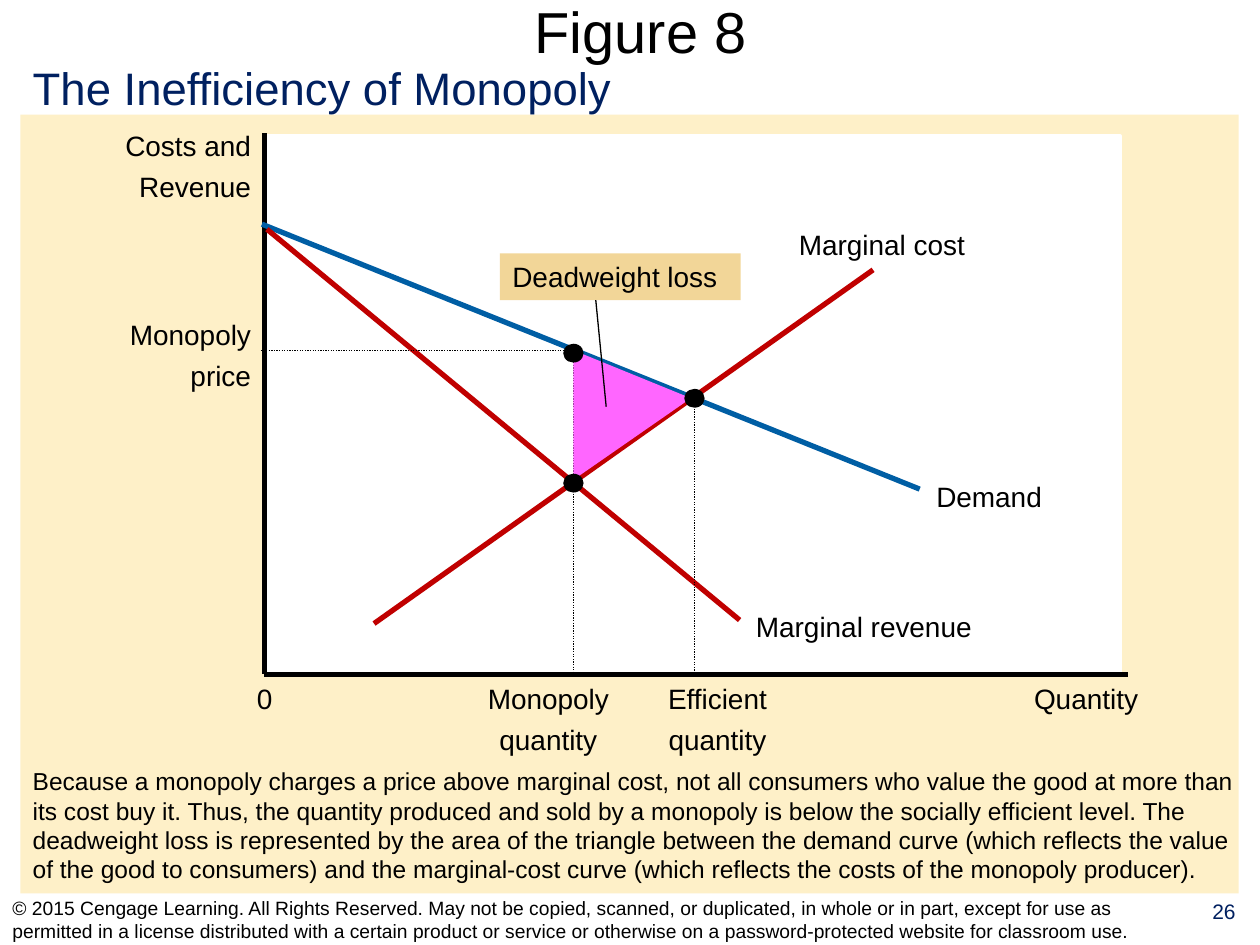
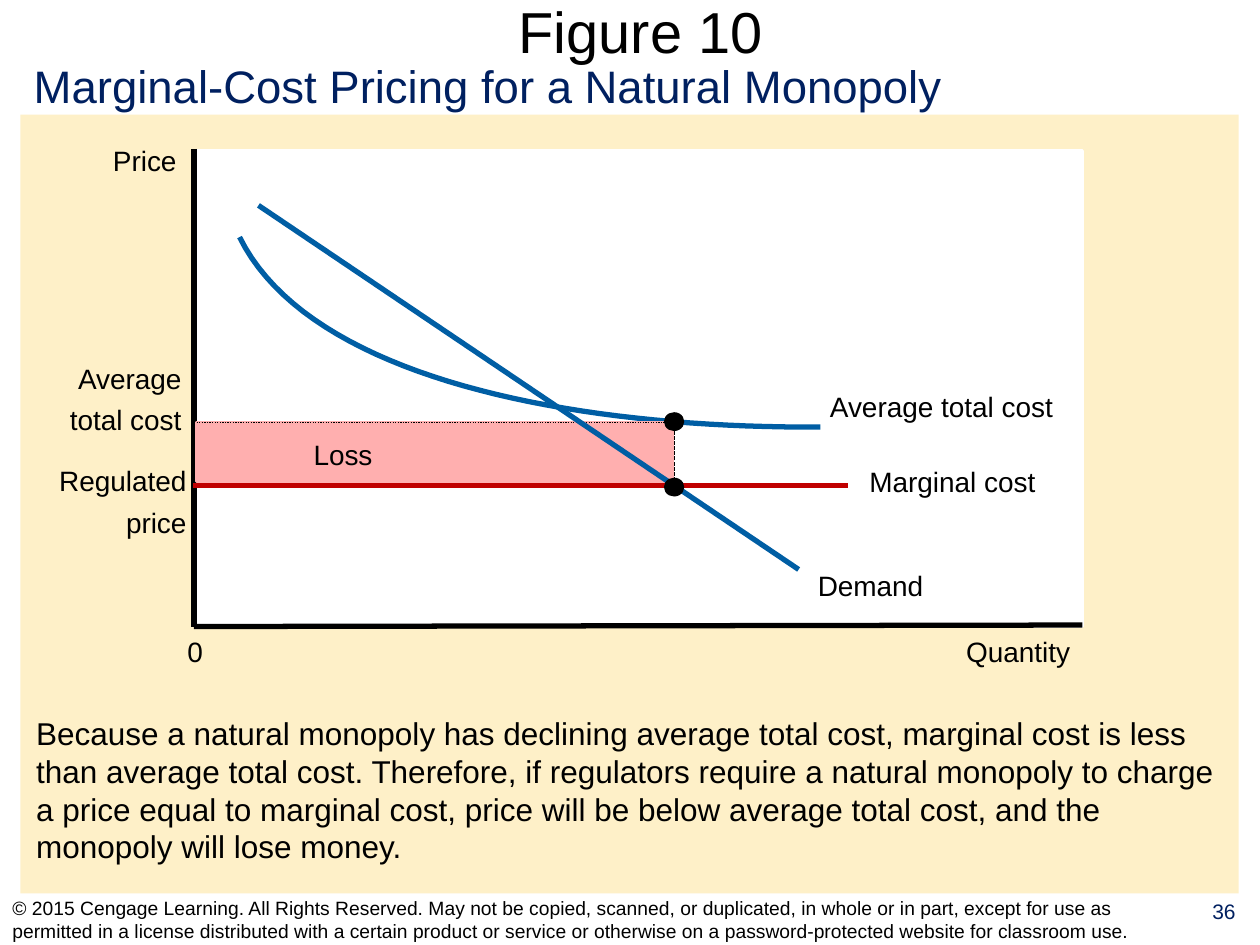
"""Build two economics figures on monopoly pricing as native slides."""
from lxml import etree
from pptx import Presentation, util as u
from pptx.dml.color import RGBColor
from pptx.enum import dml, shapes, text
from pptx.oxml import ns

COLORS = {
    "ink": "000000", "navy": "002060", "cream": "FEF0C8", "white": "FFFFFF",
    "blue": "005EA4", "red": "C00000", "magenta": "FF66FF", "pink": "FFAFAF",
    "tan": "F2D698",
}
FONT = "Arial"
LEFT, CENTER, RIGHT = text.PP_ALIGN.LEFT, text.PP_ALIGN.CENTER, text.PP_ALIGN.RIGHT
DOTTED, DASHED = dml.MSO_LINE.ROUND_DOT, dml.MSO_LINE.SQUARE_DOT
COPYRIGHT = (
    "© 2015 Cengage Learning. All Rights Reserved. May not be copied, scanned, or "
    "duplicated, in whole or in part, except for use as permitted in a license "
    "distributed with a certain product or service or otherwise on a "
    "password-protected website for classroom use."
)


def rgb(name):
    return RGBColor.from_string(COLORS[name])


def write_text(shape, content, size=16, color="ink", align=CENTER,
               anchor=text.MSO_ANCHOR.TOP, gap=4.6):
    frame = shape.text_frame
    frame.word_wrap = True
    frame.vertical_anchor = anchor
    for index, line in enumerate(content.split("\n")):
        paragraph = frame.add_paragraph() if index else frame.paragraphs[0]
        paragraph.alignment = align
        if index:
            paragraph.space_before = u.Pt(gap)
        run = paragraph.add_run()
        run.text = line
        run.font.name = FONT
        run.font.size = u.Pt(size)
        run.font.color.rgb = rgb(color)


class FigureDeck:
    def __init__(self):
        self.presentation = Presentation()
        self.presentation.slide_width = u.Cm(25.4)
        self.presentation.slide_height = u.Cm(19.05)
        self.slide = None

    def new_slide(self, title, heading, heading_corner, number):
        layout = self.presentation.slide_layouts[6]
        self.slide = self.presentation.slides.add_slide(layout)
        middle = text.MSO_ANCHOR.MIDDLE
        self.block((0.41, 2.31, 24.56, 15.7), "cream")
        self.label(title, (0.89, 0, 24.05, 1.24), size=33, anchor=middle)
        self.label(number, (23.95, 17.98, 1.45, 1.04), size=12, color="navy")
        self.label(COPYRIGHT, (0, 18.03, 23.93, 1.02), size=11, align=LEFT,
                   anchor=middle)
        self.label(heading, (*heading_corner, 24, 1.37), size=26, color="navy",
                   align=LEFT)

    def block(self, box, fill, outline=None, kind=shapes.MSO_SHAPE.RECTANGLE):
        shape = self.slide.shapes.add_shape(kind, *map(u.Cm, box))
        shape.shadow.inherit = False
        shape.fill.solid()
        shape.fill.fore_color.rgb = rgb(fill)
        if outline:
            shape.line.color.rgb = rgb(outline)
            shape.line.width = u.Pt(2)
        else:
            shape.line.fill.background()
        return shape

    def label(self, content, box, **style):
        write_text(self.slide.shapes.add_textbox(*map(u.Cm, box)), content, **style)

    def line(self, start, end, color="ink", width=3, dash=None):
        connector = self.slide.shapes.add_connector(
            shapes.MSO_CONNECTOR.STRAIGHT, *map(u.Cm, (*start, *end)))
        connector.line.color.rgb = rgb(color)
        connector.line.width = u.Pt(width)
        if dash:
            connector.line.dash_style = dash
        etree.SubElement(connector._element.spPr, ns.qn("a:effectLst"))

    def guide(self, start, end, dash=DOTTED):
        self.line(start, end, width=0.75, dash=dash)

    def curve(self, controls, color, steps=40):
        points = []
        for step in range(steps + 1):
            t = step / steps
            weights = ((1 - t) ** 3, 3 * t * (1 - t) ** 2, 3 * t ** 2 * (1 - t), t ** 3)
            points.append(tuple(
                u.Cm(sum(weight * value for weight, value in zip(weights, axis)))
                for axis in zip(*controls)))
        builder = self.slide.shapes.build_freeform(*points[0])
        builder.add_line_segments(points[1:], close=False)
        shape = builder.convert_to_shape()
        shape.shadow.inherit = False
        shape.fill.background()
        shape.line.color.rgb = rgb(color)
        shape.line.width = u.Pt(3)

    def dots(self, *centers):
        width, height = 0.41, 0.38
        for x, y in centers:
            self.block((x - width / 2, y - height / 2, width, height), "ink",
                       kind=shapes.MSO_SHAPE.OVAL)

    def axes(self, plot, origin, top, end):
        self.block(plot, "white", "white")
        self.line((origin[0], top), origin)
        self.line(origin, end)

    def axis_labels(self, zero_left, quantity_left, top):
        self.label("0", (zero_left, top, 1.01, 0.94))
        self.label("Quantity", (quantity_left, top, 3.19, 0.94))


def build_inefficiency(deck):
    deck.new_slide("Figure 8", "The Inefficiency of Monopoly", (0.41, 1.08), "26")
    base, monopoly, efficient = 13.59, 11.56, 14
    deck.axes((5.36, 2.74, 17.22, 10.82), (5.33, base), 2.69, (22.73, base))
    deck.axis_labels(4.83, 20.3, 13.61)
    deck.label("Costs and\nRevenue", (1.17, 2.46, 4.14, 1.75), align=RIGHT)
    deck.label(
        "Because a monopoly charges a price above marginal cost, not all consumers who "
        "value the good at more than its cost buy it. Thus, the quantity produced and "
        "sold by a monopoly is below the socially efficient level. The deadweight loss "
        "is represented by the area of the triangle between the demand curve (which "
        "reflects the value of the good to consumers) and the marginal-cost curve "
        "(which reflects the costs of the monopoly producer).",
        (0.41, 15.32, 24.99, 2.64), size=14, align=LEFT)
    deck.line((5.28, 4.52), (18.54, 9.86), "blue")
    deck.label("Demand", (18.32, 9.55, 3.24, 0.94))
    deck.line((5.38, 4.62), (14.91, 12.5), "red")
    deck.label("Marginal revenue", (14.69, 12.17, 5.45, 0.94))
    deck.guide((monopoly, 7.04), (monopoly, base))
    deck.label("Monopoly\nquantity", (9.28, 13.61, 3.55, 1.75))
    deck.line((7.54, 12.57), (17.6, 5.44), "red")
    deck.label("Marginal cost", (15.55, 4.47, 4.46, 0.94))
    deck.guide((5.26, 7.06), (monopoly, 7.06))
    deck.label("Monopoly\nprice", (1.76, 6.27, 3.55, 1.75), align=RIGHT)
    deck.guide((efficient, 7.98), (efficient, base))
    deck.label("Efficient\nquantity", (12.91, 13.61, 3.11, 1.75))
    loss_area = deck.block((11.48, 7.23, 2.49, 2.26), "magenta", "magenta",
                           shapes.MSO_SHAPE.ISOSCELES_TRIANGLE)
    loss_area.adjustments[0] = 0.37
    loss_area.rotation = 90
    deck.dots((efficient, 8.03), (monopoly, 7.12), (monopoly, 9.74))
    callout = deck.block((10.08, 5.11, 4.85, 0.94), "tan")
    write_text(callout, "Deadweight loss", align=LEFT)
    deck.guide((12.22, 8.2), (12.01, 6.05), dash=None)


def build_natural_monopoly(deck):
    deck.new_slide("Figure 10", "Marginal-Cost Pricing for a Natural Monopoly",
                   (0.43, 1.04), "36")
    quantity, average_cost = 13.59, 8.51
    deck.axes((3.96, 3.05, 17.86, 9.58), (3.91, 12.63), 3, (21.82, 12.6))
    deck.axis_labels(3.43, 18.93, 12.67)
    deck.label("Price", (1.21, 2.77, 2.6, 0.94), align=RIGHT)
    deck.label(
        "Because a natural monopoly has declining average total cost, marginal cost is "
        "less than average total cost. Therefore, if regulators require a natural "
        "monopoly to charge a price equal to marginal cost, price will be below average "
        "total cost, and the monopoly will lose money.",
        (0.48, 14.27, 24.41, 3.3), size=18, align=LEFT)
    deck.curve(((4.83, 4.78), (6.25, 7.65), (11.58, 8.64), (16.54, 8.61)), "blue")
    deck.label("Average total cost", (16.18, 7.72, 5.6, 0.94))
    deck.block((3.96, 8.53, 9.6, 1.18), "pink", "pink")
    deck.label("Loss", (5.69, 8.69, 2.45, 0.94))
    deck.guide((3.91, average_cost), (quantity, average_cost))
    deck.label("Average\ntotal cost", (0.41, 7.16, 3.5, 1.75), align=RIGHT)
    deck.line((5.21, 4.14), (16.1, 11.48), "blue")
    deck.label("Demand", (15.93, 11.33, 3.24, 0.94))
    deck.line((3.89, 9.78), (17.09, 9.78), "red")
    deck.label("Marginal cost", (16.97, 9.25, 4.46, 0.94))
    deck.label("Regulated\nprice", (0.41, 9.22, 3.6, 1.75), align=RIGHT)
    deck.guide((quantity, 9.8), (quantity, average_cost), DASHED)
    deck.dots((quantity, 8.5), (quantity, 9.82))


def main():
    deck = FigureDeck()
    build_inefficiency(deck)
    build_natural_monopoly(deck)
    deck.presentation.save("out.pptx")


if __name__ == "__main__":
    main()
